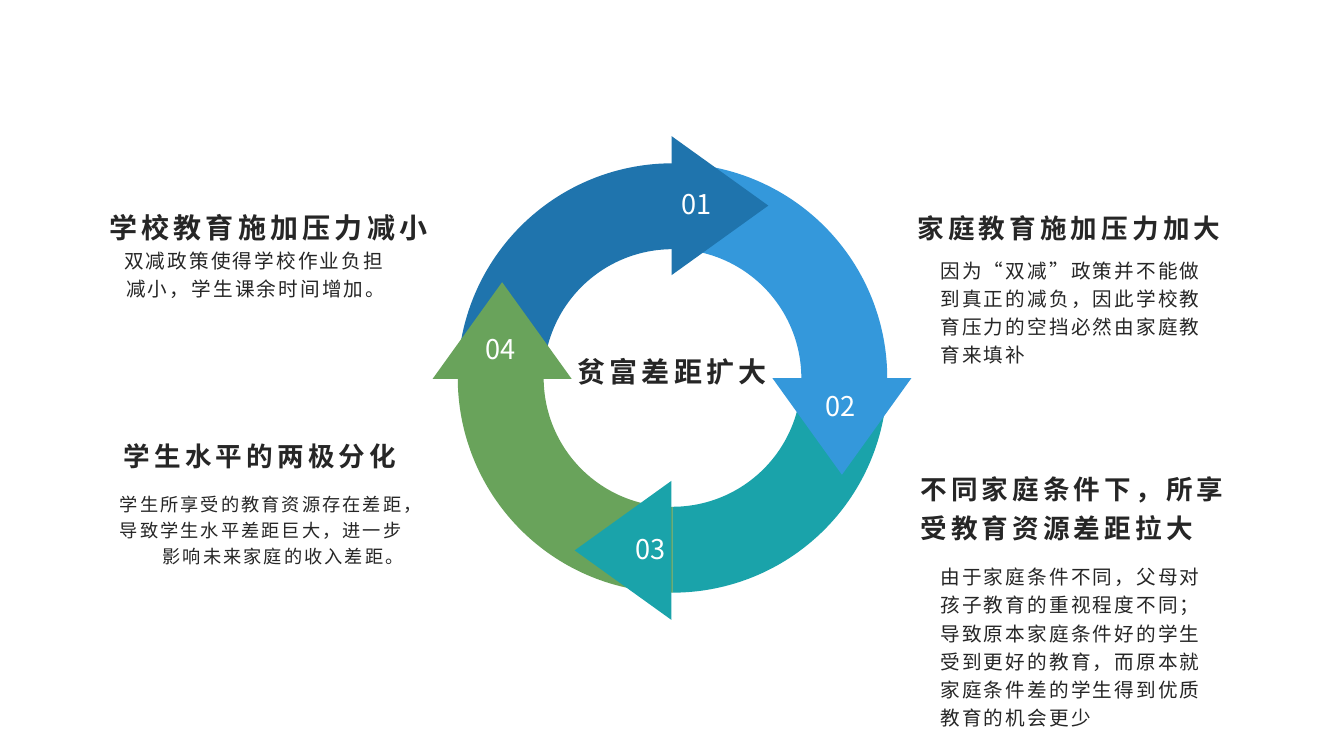
"""Build a four-step cycle slide on how the wealth gap widens."""
from pptx import Presentation
from pptx.dml.color import RGBColor
from pptx.enum.shapes import MSO_SHAPE as SHAPE
from pptx.enum.text import MSO_ANCHOR as ANCHOR, PP_ALIGN as ALIGN
from pptx.oxml.ns import qn
from pptx.util import Inches, Pt

FONT = "Noto Sans CJK SC"
COLORS = {"blue": "1F74AD", "sky": "3498DB", "teal": "1AA3AA",
          "green": "69A35B", "ink": "262626", "white": "FFFFFF"}

prs = Presentation()
prs.slide_width, prs.slide_height = Inches(13.33), Inches(7.5)
s = prs.slides.add_slide(prs.slide_layouts[6])


def add_text(text, box, size=14, color="ink", bold=False, spacing=0,
             align=ALIGN.LEFT, anchor=ANCHOR.TOP, top=0.05, bottom=0.05):
    tf = s.shapes.add_textbox(*map(Inches, box)).text_frame
    tf.word_wrap = True
    tf.vertical_anchor = anchor
    tf.margin_left = tf.margin_right = Inches(0.1)
    tf.margin_top, tf.margin_bottom = Inches(top), Inches(bottom)
    p = tf.paragraphs[0]
    p.alignment, p.line_spacing = align, 1.2
    r = p.add_run()
    r.text = text
    r.font.size, r.font.bold, r.font.name = Pt(size), bold, FONT
    r.font.color.rgb = RGBColor.from_string(COLORS[color])
    rPr = r.font._element
    rPr.set("lang", "zh-CN")
    rPr.set("spc", str(int(spacing * 100)))
    ea = rPr.makeelement(qn("a:ea"), {"typeface": FONT})
    rPr.find(qn("a:latin")).addnext(ea)


def add_solid(kind, box, color, rotation):
    sp = s.shapes.add_shape(kind, *map(Inches, box))
    sp.shadow.inherit = False
    sp.fill.solid()
    sp.fill.fore_color.rgb = RGBColor.from_string(COLORS[color])
    sp.line.fill.background()
    sp.rotation = rotation
    return sp


add_text("贫富差距扩大", (5.56, 2.87, 2.21, 1.57), size=20, bold=True,
         spacing=3, align=ALIGN.CENTER, anchor=ANCHOR.MIDDLE)

for color, rotation in [("teal", 0), ("sky", 270), ("green", 90), ("blue", 180)]:
    arc = add_solid(SHAPE.BLOCK_ARC, (4.54, 1.62, 4.26, 4.26), color, rotation)
    for i, value in enumerate((0, 54, 0.2)):
        arc.adjustments[i] = value

arrowheads = [
    ("02", "sky", 180, (7.66, 3.75), (8.09, 3.75)),
    ("03", "teal", 270, (5.49, 4.98), (6.2, 5.17)),
    ("04", "green", 0, (4.29, 2.8), (4.72, 3.18)),
    ("01", "blue", 90, (6.45, 1.56), (6.66, 1.75)),
]
for number, color, rotation, head, label in arrowheads:
    add_solid(SHAPE.ISOSCELES_TRIANGLE, (*head, 1.38, 0.96), color, rotation)
    add_text(number, (*label, 0.53, 0.57), size=19.4, color="white")

topics = [
    (ALIGN.RIGHT, "学校教育施加压力减小", 20, (0.74, 1.24, 3.6, 1.18),
     "双减政策使得学校作业负担减小，学生课余时间增加。", 14, (1.02, 2.42, 2.9, 0.73)),
    (ALIGN.LEFT, "家庭教育施加压力加大", 19, (9, 1.87, 3.38, 0.55),
     "因为“双减”政策并不能做到真正的减负，因此学校教育压力的空挡必然由家庭教育来填补",
     14, (9.23, 2.52, 2.96, 1.11)),
    (ALIGN.LEFT, "不同家庭条件下，所享受教育资源差距拉大", 19, (9.03, 4.74, 3.36, 0.65),
     "由于家庭条件不同，父母对孩子教育的重视程度不同；导致原本家庭条件好的学生"
     "受到更好的教育，而原本就家庭条件差的学生得到优质教育的机会更少",
     14, (9.23, 5.56, 2.9, 0.73)),
    (ALIGN.RIGHT, "学生水平的两极分化", 19, (0.92, 4.13, 3.11, 0.55),
     "学生所享受的教育资源存在差距，导致学生水平差距巨大，进一步影响未来家庭的收入差距。",
     13, (0.99, 4.85, 3.11, 1.22)),
]
for align, title, title_size, title_box, body, body_size, body_box in topics:
    add_text(title, title_box, size=title_size, bold=True, spacing=3,
             align=align, anchor=ANCHOR.BOTTOM, bottom=0)
    add_text(body, body_box, size=body_size, spacing=1.5, align=align, top=0)

prs.save("out.pptx")
